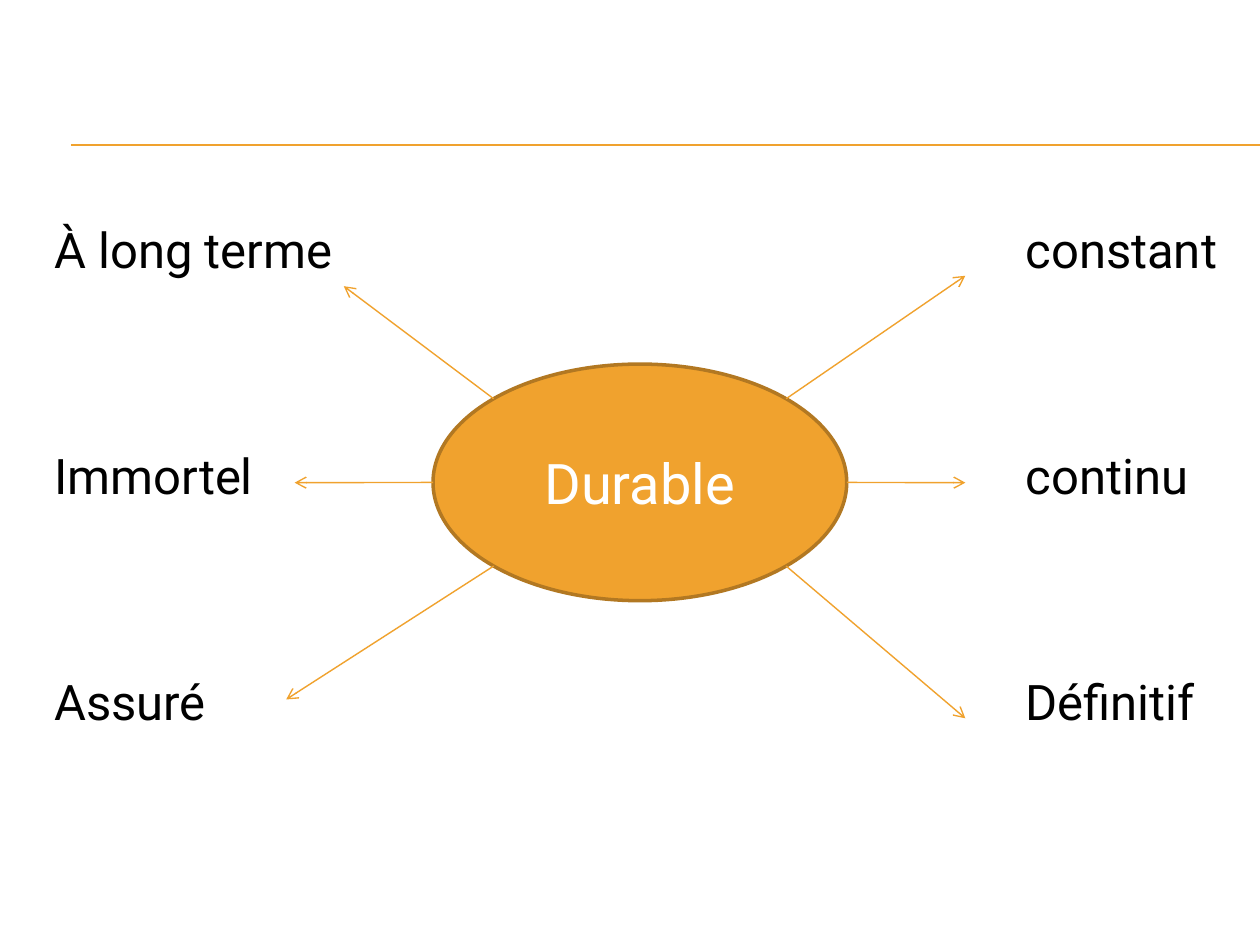
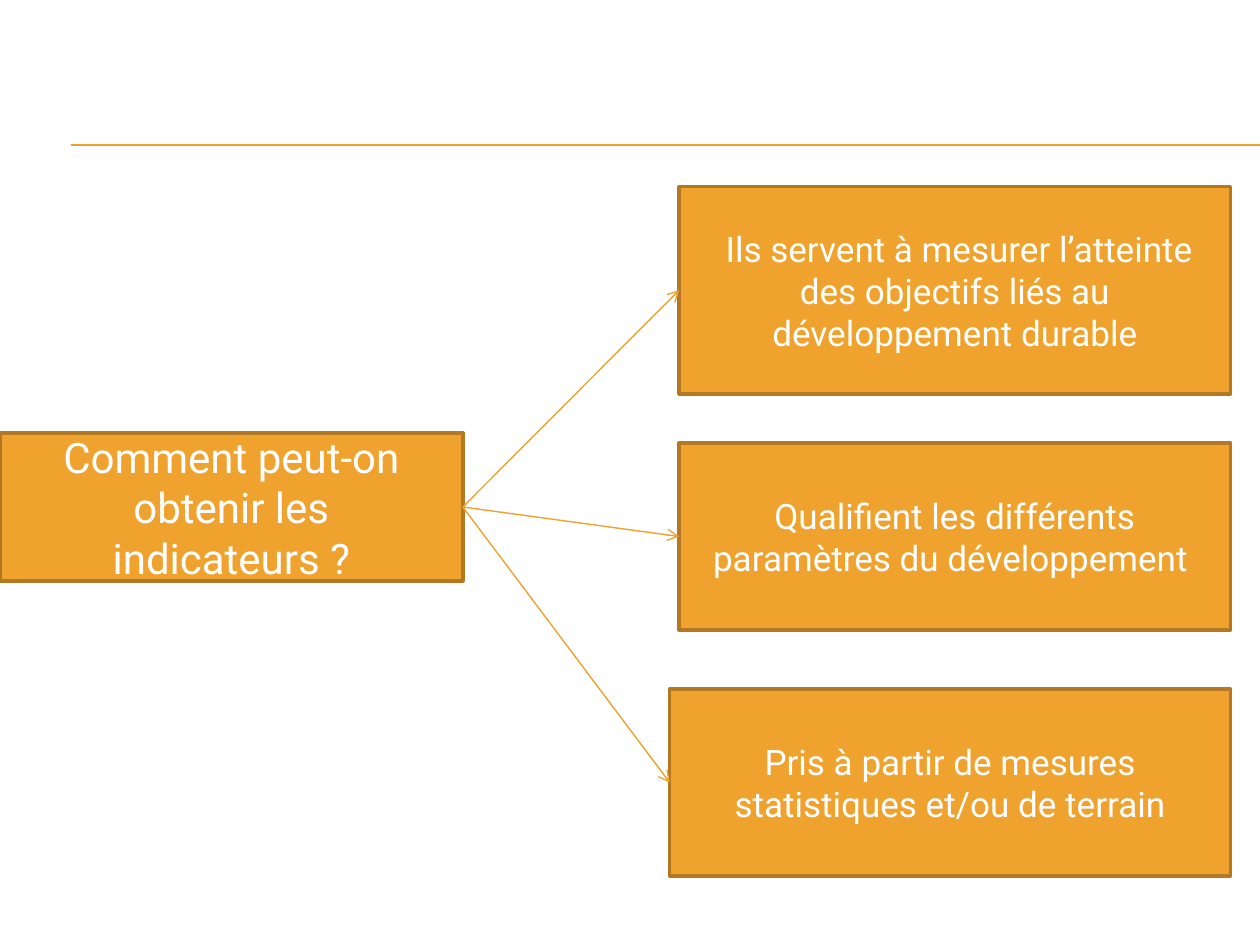
"""Build two diagram slides about sustainable development."""
from dataclasses import dataclass
from math import cos, radians, sin

from pptx import Presentation
from pptx.dml.color import RGBColor
from pptx.enum.shapes import MSO_CONNECTOR, MSO_SHAPE
from pptx.enum.text import MSO_ANCHOR, MSO_AUTO_SIZE, PP_ALIGN
from pptx.oxml.ns import qn
from pptx.shapes.autoshape import Shape
from pptx.shapes.connector import Connector
from pptx.slide import Slide
from pptx.text.text import TextFrame
from pptx.util import Cm, Pt
from lxml import etree

COLORS = {"accent": "F0A22E", "outline": "B27822", "light": "FFFFFF", "dark": "000000"}
FONT = "Roboto"
STRAIGHT = MSO_CONNECTOR.STRAIGHT
ELLIPSE = MSO_SHAPE.OVAL
RECTANGLE = MSO_SHAPE.RECTANGLE
PROCESS = MSO_SHAPE.FLOWCHART_PROCESS
CENTER = PP_ALIGN.CENTER
MIDDLE = MSO_ANCHOR.MIDDLE
TOP = MSO_ANCHOR.TOP
NO_AUTOFIT = MSO_AUTO_SIZE.NONE
LEFT_SITE, RIGHT_SITE = 1, 3
TWO_CONTENT_LAYOUT, BLANK_LAYOUT = 3, 6

SLIDE_WIDTH, SLIDE_HEIGHT = 25.4, 19.05
RULE_LEFT, RULE_TOPS = 1.43, (2.92, 2.94)
COLUMN_TOP, COLUMN_HEIGHT = 4.3, 12.5


@dataclass(frozen=True)
class Box:
    """A filled shape with centred text, in centimetres and points."""

    text: str
    left: float
    top: float
    width: float
    height: float
    size: int
    kind: MSO_SHAPE = RECTANGLE


@dataclass(frozen=True)
class Ray:
    """An arrow leaving the ellipse at an angle and ending at a point."""

    angle: int
    end_x: float
    end_y: float


@dataclass(frozen=True)
class Column:
    """A list of words in one body placeholder."""

    placeholder: int
    left: float
    width: float
    words: tuple[str, ...]


COLUMNS = (
    Column(1, 0.84, 7.5, ("À long terme", "Immortel", "Assuré")),
    Column(2, 20.42, 4.6, ("constant", "continu", "Définitif")),
)
DURABLE = Box("Durable", 8.73, 7.34, 8.34, 4.77, 32, ELLIPSE)
RAYS = (
    Ray(225, 6.93, 5.77),
    Ray(180, 5.94, 9.73),
    Ray(135, 5.77, 14.1),
    Ray(315, 19.46, 5.56),
    Ray(0, 19.46, 9.73),
    Ray(45, 19.46, 14.48),
)
QUESTION = Box("Comment peut-on obtenir les indicateurs ?", 0, 8.73, 9.33, 2.98, 24, PROCESS)
ANSWERS = (
    Box(" Ils servent à mesurer l’atteinte des objectifs liés au développement durable",
        13.69, 3.76, 11.12, 4.18, 20),
    Box("Qualifient les différents paramètres du développement ",
        13.69, 8.93, 11.12, 3.77, 20),
    Box("Pris à partir de mesures statistiques et/ou de terrain",
        13.5, 13.89, 11.31, 3.77, 20),
)


def color(name: str) -> RGBColor:
    """Return a named colour of the deck."""
    return RGBColor.from_string(COLORS[name])


def format_text(text_frame: TextFrame, size: int, color_name: str) -> None:
    """Give every run the deck font, a size and a colour."""
    for paragraph in text_frame.paragraphs:
        for run in paragraph.runs:
            run.font.name = FONT
            run.font.size = Pt(size)
            run.font.color.rgb = color(color_name)


def add_line(slide: Slide, begin: tuple[float, float], end: tuple[float, float],
             width: float = 0.79, arrow: bool = True) -> Connector:
    """Draw an accent line, with an open arrowhead if wanted."""
    connector = slide.shapes.add_connector(
        STRAIGHT, *(Cm(value) for value in (*begin, *end)))
    connector.line.color.rgb = color("accent")
    connector.line.width = Pt(width)
    properties = connector._element.spPr
    if arrow:
        etree.SubElement(properties.find(qn("a:ln")), qn("a:tailEnd"), type="arrow")
    etree.SubElement(properties, qn("a:effectLst"))
    return connector


def add_box(slide: Slide, box: Box) -> Shape:
    """Draw a filled shape with its centred text."""
    shape = slide.shapes.add_shape(
        box.kind, Cm(box.left), Cm(box.top), Cm(box.width), Cm(box.height))
    shape.shadow.inherit = False
    shape.fill.solid()
    shape.fill.fore_color.rgb = color("accent")
    shape.line.color.rgb = color("outline")
    shape.line.width = Pt(2)
    text_frame = shape.text_frame
    text_frame.word_wrap = True
    text_frame.vertical_anchor = MIDDLE
    text_frame.margin_left = text_frame.margin_right = Cm(0.5)
    text_frame.text = box.text
    text_frame.paragraphs[0].alignment = CENTER
    format_text(text_frame, box.size, "light")
    return shape


def add_slide(presentation: Presentation, layout: int) -> Slide:
    """Add a slide with the double rule under the title area."""
    slide = presentation.slides.add_slide(presentation.slide_layouts[layout])
    for top in RULE_TOPS:
        add_line(slide, (RULE_LEFT, top), (SLIDE_WIDTH, top), 0.75, arrow=False)
    return slide


def fill_column(slide: Slide, column: Column) -> None:
    """Write one column of words in its placeholder, without bullets."""
    body = slide.placeholders[column.placeholder]
    body.left, body.top = Cm(column.left), Cm(COLUMN_TOP)
    body.width, body.height = Cm(column.width), Cm(COLUMN_HEIGHT)
    text_frame = body.text_frame
    text_frame.auto_size = NO_AUTOFIT
    text_frame.vertical_anchor = TOP
    text_frame.text = "\n".join(column.words)
    for index, paragraph in enumerate(text_frame.paragraphs):
        paragraph.space_before = Pt(95.5 if index else 0)
        properties = paragraph._p.get_or_add_pPr()
        properties.set("marL", "0")
        properties.set("indent", "0")
        etree.SubElement(properties, qn("a:buNone"))
    format_text(text_frame, 28, "dark")


def build_synonyms(presentation: Presentation) -> None:
    """Build the slide of words around the ellipse."""
    slide = add_slide(presentation, TWO_CONTENT_LAYOUT)
    title = slide.shapes.title
    title._element.getparent().remove(title._element)
    for column in COLUMNS:
        fill_column(slide, column)
    add_box(slide, DURABLE)
    radius_x, radius_y = DURABLE.width / 2, DURABLE.height / 2
    for ray in RAYS:
        angle = radians(ray.angle)
        begin = (DURABLE.left + radius_x * (1 + cos(angle)),
                 DURABLE.top + radius_y * (1 + sin(angle)))
        add_line(slide, begin, (ray.end_x, ray.end_y))


def build_indicators(presentation: Presentation) -> None:
    """Build the slide of the question and its three answers."""
    slide = add_slide(presentation, BLANK_LAYOUT)
    question = add_box(slide, QUESTION)
    for answer in ANSWERS:
        target = add_box(slide, answer)
        arrow = add_line(slide, (0, 0), (1, 1))
        arrow.begin_connect(question, RIGHT_SITE)
        arrow.end_connect(target, LEFT_SITE)


def main() -> None:
    """Build and save the presentation."""
    presentation = Presentation()
    presentation.slide_width = Cm(SLIDE_WIDTH)
    presentation.slide_height = Cm(SLIDE_HEIGHT)
    build_synonyms(presentation)
    build_indicators(presentation)
    presentation.save("out.pptx")


if __name__ == "__main__":
    main()
